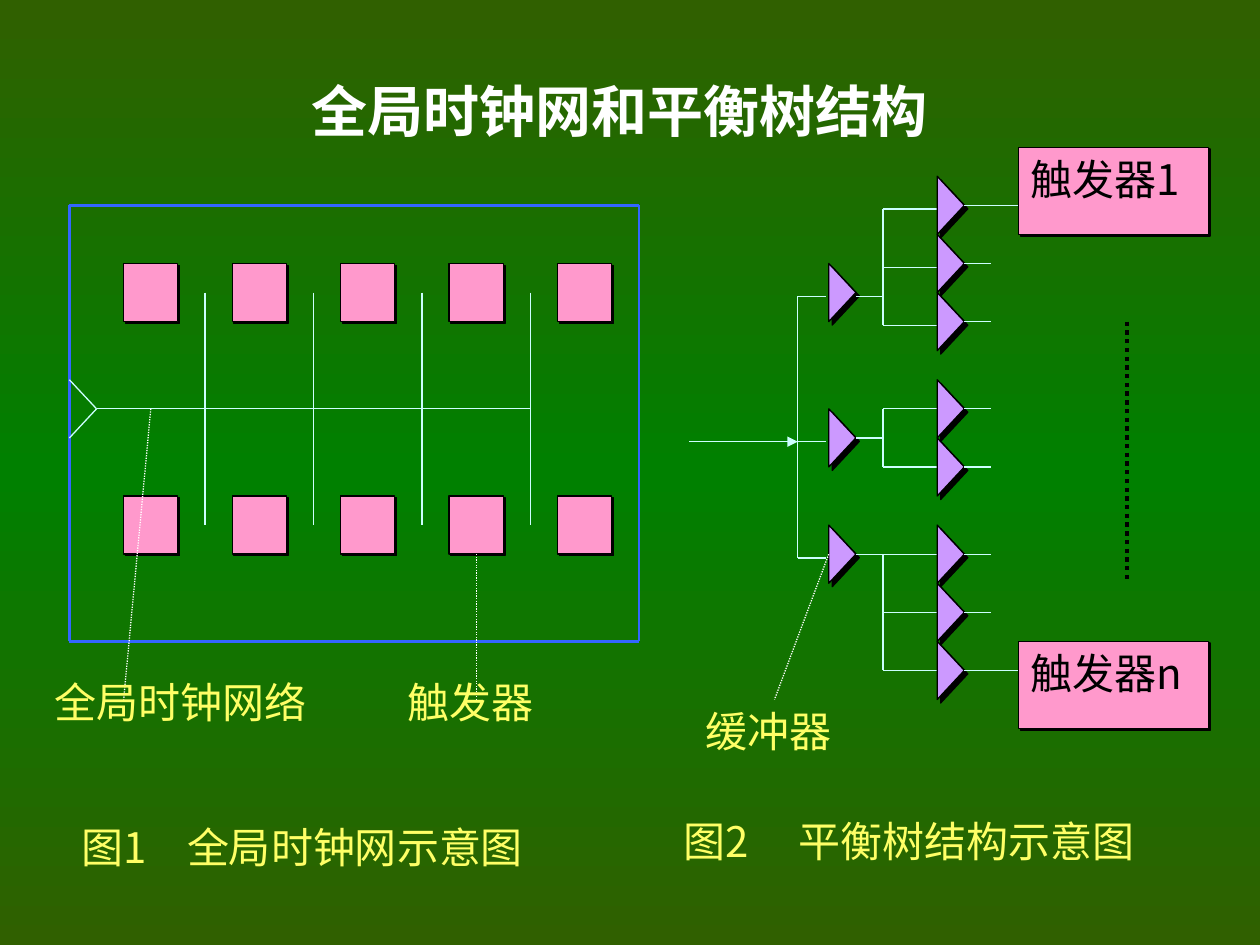
from copy import deepcopy
from dataclasses import dataclass

from pptx import Presentation
from pptx.dml.color import RGBColor
from pptx.enum.dml import MSO_LINE
from pptx.enum.shapes import MSO_CONNECTOR, MSO_SHAPE
from pptx.enum.text import MSO_ANCHOR, PP_ALIGN
from pptx.oxml.ns import qn
from pptx.oxml.xmlchemy import OxmlElement
from pptx.util import Cm, Pt

STRAIGHT, RECT = MSO_CONNECTOR.STRAIGHT, MSO_SHAPE.RECTANGLE
DOTTED = MSO_LINE.ROUND_DOT
CENTER, JUSTIFY = PP_ALIGN.CENTER, PP_ALIGN.JUSTIFY
TOP, MIDDLE = MSO_ANCHOR.TOP, MSO_ANCHOR.MIDDLE
BOTTOM_SITE = 2

FONT = "Noto Sans CJK SC"
COLORS = {
    "edge": "306000", "mid": "008000", "frame": "3366FF", "flipflop": "FF99CC",
    "buffer": "CC99FF", "wire": "CCFFFF", "leader": "FFFFFF", "title": "FFFFFF",
    "label": "FFFF66", "black": "000000",
}


@dataclass
class Branch:
    """A first-stage buffer and its leaf buffers, in grid rows."""
    top: float
    leaves: tuple[float, ...]
    drop: float = 0


@dataclass
class Label:
    text: str
    col: float
    row: float
    width: float
    tab: float | None = None


BRANCHES = [Branch(2, (-1, 1, 3), 0.13), Branch(7, (6, 8)), Branch(11, (11, 13, 15))]
LABELS = [
    Label("全局时钟网络", -1, 16, 11.25),
    Label("触发器", 12, 16, 6),
    Label("缓冲器", 23, 17, 6),
    Label("图1\t全局时钟网示意图", 0, 21, 17.2, tab=2.12),
    Label("图2\t平衡树结构示意图", 22.2, 20.77, 18.9, tab=2.31),
]

# Both diagrams share one grid; the frame is 21 columns by 15 rows
COL, ROW = 11.48 / 21, 8.79 / 15


def x(col: float) -> Cm:
    return Cm(1.4 + col * COL)


def y(row: float) -> Cm:
    return Cm(4.14 + row * ROW)


def rgb(name: str) -> RGBColor:
    return RGBColor.from_string(COLORS[name])


def add_shadow(effects, dist: float) -> None:
    shadow = OxmlElement("a:outerShdw")
    shadow.set("dist", str(Pt(dist)))
    shadow.set("dir", "2700000")
    shadow.set("algn", "ctr")
    color = OxmlElement("a:srgbClr")
    color.set("val", COLORS["black"])
    shadow.append(color)
    effects.append(shadow)


def write(tf, text: str, *, size=24, color="label", bold=False, align=JUSTIFY,
          anchor=TOP, shadow=True, tab=None) -> None:
    tf.word_wrap = True
    tf.vertical_anchor = anchor
    p = tf.paragraphs[0]
    p.alignment = align
    if tab is not None:
        tabs, stop = OxmlElement("a:tabLst"), OxmlElement("a:tab")
        stop.set("pos", str(Cm(tab)))
        stop.set("algn", "l")
        tabs.append(stop)
        p._p.get_or_add_pPr().append(tabs)
    r = p.add_run()
    r.text = text
    r.font.size, r.font.bold = Pt(size), bold
    r.font.color.rgb = rgb(color)
    rpr = r._r.get_or_add_rPr()
    if shadow:
        effects = OxmlElement("a:effectLst")
        add_shadow(effects, 2)
        rpr.append(effects)
    r.font.name = FONT
    ea = OxmlElement("a:ea")
    ea.set("typeface", FONT)
    rpr.append(ea)


def line(s, c1: float, r1: float, c2: float, r2: float, *, color="wire",
         width=0.75, dash=None, arrow=False):
    cx = s.shapes.add_connector(STRAIGHT, x(c1), y(r1), x(c2), y(r2))
    cx.line.color.rgb = rgb(color)
    cx.line.width = Pt(width)
    if dash is not None:
        cx.line.dash_style = dash
    if arrow:
        tail = OxmlElement("a:tailEnd")
        tail.set("type", "triangle")
        cx.line._get_or_add_ln().append(tail)
    cx._element.spPr.append(OxmlElement("a:effectLst"))
    return cx


def paint(sp, fill: str, shadow: float) -> None:
    sp.fill.solid()
    sp.fill.fore_color.rgb = rgb(fill)
    sp.line.color.rgb = rgb("black")
    sp.line.width = Pt(0.75)
    sp.shadow.inherit = False
    add_shadow(sp._element.spPr.find(qn("a:effectLst")), shadow)


def flipflop(s, col: float, row: float, cols: float = 2, rows: float = 2):
    sp = s.shapes.add_shape(RECT, x(col), y(row), Cm(cols * COL), Cm(rows * ROW))
    paint(sp, "flipflop", 1.4)
    return sp


def buffer(s, col: float, row: float) -> None:
    fb = s.shapes.build_freeform(x(col), y(row), scale=1.0)
    fb.add_line_segments([(x(col), y(row + 2)), (x(col + 1), y(row + 1))], close=True)
    paint(fb.convert_to_shape(), "buffer", 2.8)


def background(s) -> None:
    fill = s.background.fill
    fill.gradient()
    fill.gradient_angle = 90
    stops = s._element.find(".//" + qn("a:gsLst"))
    stops.append(deepcopy(stops[0]))
    for stop, pos, color in zip(fill.gradient_stops, (0, 0.5, 1), ("edge", "mid", "edge")):
        stop.position = pos
        stop.color.rgb = rgb(color)


def clock_network(s) -> None:
    # Frame
    for ends in ((0, 0, 0, 15), (0, 15, 21, 15), (0, 0, 21, 0), (21, 0, 21, 15)):
        line(s, *ends, color="frame", width=1.5)
    # Two rows of flip-flops
    cells = [flipflop(s, col, row) for row in (2, 10) for col in range(2, 19, 4)]
    # Spine, ribs and clock input
    line(s, 1, 7, 17, 7)
    for col in range(5, 18, 4):
        line(s, col, 3, col, 11)
    for row in (6, 8):
        line(s, 0, row, 1, 7)
    # Leaders to the labels
    line(s, 3, 7, 2, 17, color="leader", dash=DOTTED)
    leader = line(s, 15, 12, 15, 17, color="leader", dash=DOTTED)
    leader.begin_connect(cells[8], BOTTOM_SITE)


def balanced_tree(s) -> None:
    trunk, first, last = 26.86, BRANCHES[0], BRANCHES[-1]
    line(s, trunk, first.top + 1.13, trunk, last.top + 1.13)
    for b in BRANCHES:
        line(s, trunk, b.top + 1.13, 27.9, b.top + 1.13)
        buffer(s, 28, b.top)
        inputs = [leaf + 1 + b.drop for leaf in b.leaves]
        line(s, 29, b.top + 1 + b.drop, 30, b.top + 1 + b.drop)
        line(s, 30, inputs[0], 30, inputs[-1])
        for leaf, row in zip(b.leaves, inputs):
            line(s, 30, row, 32, row)
            buffer(s, 32, leaf)
            outer = leaf in (first.leaves[0], last.leaves[-1])
            line(s, 33, leaf + 1, 35 if outer else 34, leaf + 1)
    # Clock input, omitted flip-flops and buffer leader
    line(s, 22.86, 8.13, trunk, 8.13, arrow=True)
    line(s, 39, 4, 39, 13, color="black", width=2.5, dash=DOTTED)
    line(s, 28, 12, 26, 17, color="leader", dash=DOTTED)
    # First and last flip-flop
    for text, row in (("触发器1", -2), ("触发器n", 15)):
        sp = flipflop(s, 35, row, 7, 3)
        write(sp.text_frame, text, color="black", shadow=False)


def main() -> None:
    prs = Presentation()
    prs.slide_width, prs.slide_height = Cm(25.4), Cm(19.05)
    s = prs.slides.add_slide(prs.slide_layouts[6])
    background(s)
    title = s.shapes.add_textbox(Cm(1.7), Cm(0.64), Cm(21.59), Cm(3.18))
    write(title.text_frame, "全局时钟网和平衡树结构", size=32, color="title",
          bold=True, align=CENTER, anchor=MIDDLE)
    clock_network(s)
    balanced_tree(s)
    for lb in LABELS:
        box = s.shapes.add_textbox(x(lb.col), y(lb.row), Cm(lb.width * COL), Cm(3 * ROW))
        write(box.text_frame, lb.text, tab=lb.tab)
    prs.save("out.pptx")


if __name__ == "__main__":
    main()
